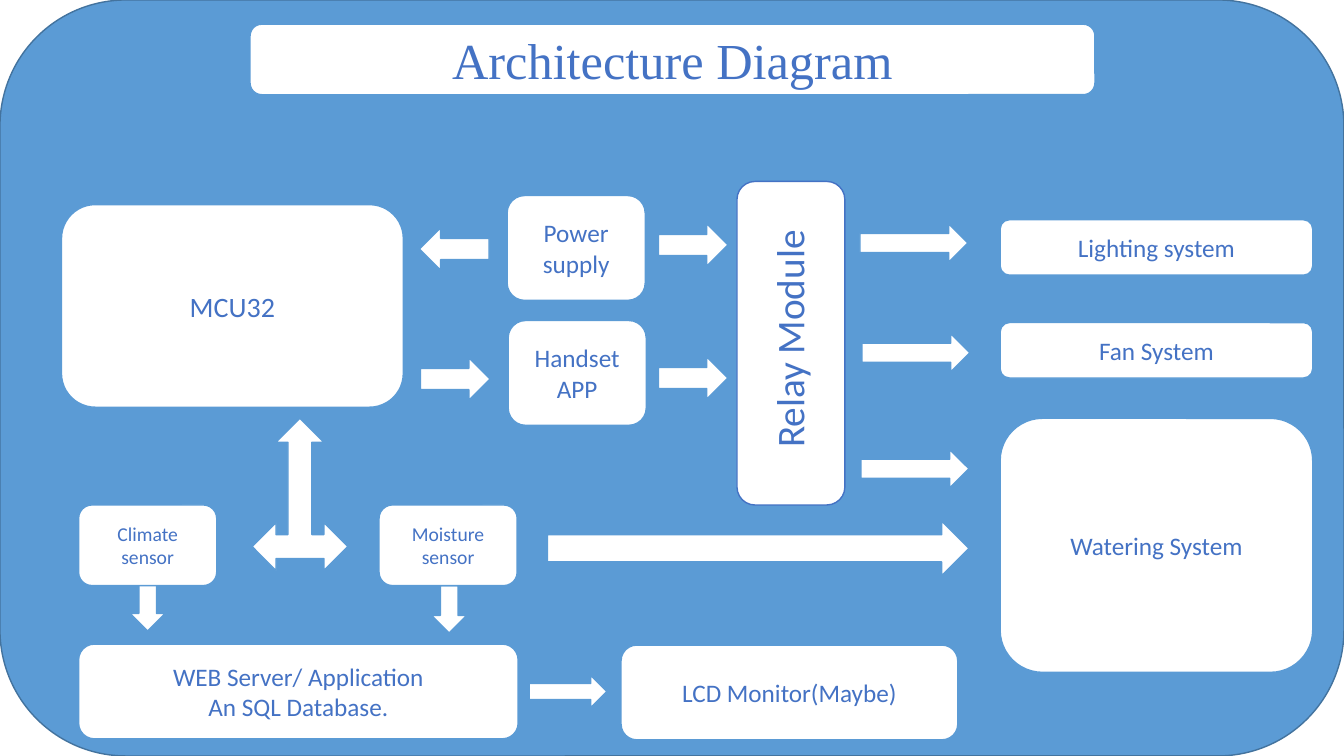
"""Build the architecture diagram slide of an automated watering system."""
from dataclasses import dataclass
from typing import Any

from pptx import Presentation
from pptx.dml.color import RGBColor
from pptx.enum.shapes import MSO_SHAPE as Preset
from pptx.enum.text import MSO_ANCHOR as Anchor, MSO_AUTO_SIZE as AutoSize, PP_ALIGN as Align
from pptx.util import Emu, Pt

EMU_PER_PX = 9144


@dataclass(frozen=True)
class Theme:
    background: RGBColor = RGBColor(0x5B, 0x9B, 0xD5)
    background_edge: RGBColor = RGBColor(0x43, 0x73, 0x9E)
    panel: RGBColor = RGBColor(0xFF, 0xFF, 0xFF)
    accent: RGBColor = RGBColor(0x44, 0x72, 0xC4)
    body_font: str = "Calibri"
    title_font: str = "Times New Roman"
    title_size: int = 36
    relay_size: int = 28
    controller_size: int = 20
    label_size: int = 18
    sensor_size: int = 14


THEME = Theme()


@dataclass(frozen=True)
class Area:
    left: int
    top: int
    width: int
    height: int

    def emu(self) -> tuple[Emu, ...]:
        return tuple(Emu(px * EMU_PER_PX) for px in (self.left, self.top, self.width, self.height))


@dataclass(frozen=True)
class Box:
    area: Area
    text: str = ""
    size: int = THEME.label_size
    edge: RGBColor = THEME.background
    fill: RGBColor = THEME.panel


@dataclass(frozen=True)
class Arrow:
    area: Area
    preset: Preset = Preset.RIGHT_ARROW
    rotation: int = 0


TITLE_AREA = Area(248, 24, 838, 70)
RELAY_LABEL_AREA = Area(570, 213, 425, 57)
BACKDROP = Box(Area(0, 0, 1333, 750), edge=THEME.background_edge, fill=THEME.background)

BOXES = (
    Box(TITLE_AREA),
    Box(Area(61, 203, 339, 201), "MCU32", THEME.controller_size),
    Box(Area(731, 180, 107, 321), edge=THEME.accent),
    Box(Area(503, 194, 137, 104), "Power supply"),
    Box(Area(504, 318, 137, 104), "Handset APP"),
    Box(Area(992, 218, 310, 55), "Lighting system"),
    Box(Area(992, 320, 310, 55), "Fan System"),
    Box(Area(992, 415, 310, 252), "Watering System"),
    Box(Area(78, 501, 137, 80), "Climate sensor", THEME.sensor_size),
    Box(Area(376, 501, 137, 80), "Moisture sensor", THEME.sensor_size),
    Box(Area(78, 639, 436, 94), "WEB Server/ Application\nAn SQL Database."),
    Box(Area(616, 640, 334, 94), "LCD Monitor(Maybe)"),
)

ARROWS = (
    Arrow(Area(416, 226, 69, 42), rotation=180),
    Arrow(Area(417, 355, 69, 42)),
    Arrow(Area(653, 222, 69, 42)),
    Arrow(Area(653, 354, 69, 42)),
    Arrow(Area(853, 222, 107, 38)),
    Arrow(Area(855, 331, 107, 38)),
    Arrow(Area(854, 446, 107, 38)),
    Arrow(Area(543, 517, 418, 54)),
    Arrow(Area(525, 670, 77, 32)),
    Arrow(Area(129, 579, 35, 47), Preset.DOWN_ARROW),
    Arrow(Area(428, 581, 35, 47), Preset.DOWN_ARROW),
    Arrow(Area(250, 415, 95, 151), Preset.LEFT_RIGHT_UP_ARROW),
)


def set_all(target: Any, values: dict[str, Any]) -> None:
    """Set each named attribute of the target."""
    for name, value in values.items():
        setattr(target, name, value)


def write_text(shape: Any, text: str, size: int, font: str = THEME.body_font,
               align: Align = Align.CENTER, **frame_format: Any) -> None:
    """Fill a shape with formatted text."""
    frame = shape.text_frame
    frame.text = text
    set_all(frame, {"word_wrap": True, "vertical_anchor": Anchor.MIDDLE,
                    "auto_size": AutoSize.NONE} | frame_format)
    for paragraph in frame.paragraphs:
        paragraph.alignment = align
        for run in paragraph.runs:
            set_all(run.font, {"name": font, "size": Pt(size)})
            run.font.color.rgb = THEME.accent


def add_preset(slide: Any, preset: Preset, area: Area, fill: RGBColor, edge: RGBColor) -> Any:
    """Add a flat preset shape with a thin outline."""
    shape = slide.shapes.add_shape(preset, *area.emu())
    shape.shadow.inherit = False
    shape.fill.solid()
    shape.fill.fore_color.rgb = fill
    shape.line.color.rgb = edge
    shape.line.width = Pt(1)
    return shape


def add_box(slide: Any, box: Box) -> None:
    """Add a rounded box with its label."""
    shape = add_preset(slide, Preset.ROUNDED_RECTANGLE, box.area, box.fill, box.edge)
    if box.text:
        write_text(shape, box.text, box.size)


def add_arrow(slide: Any, arrow: Arrow) -> None:
    """Add a block arrow."""
    shape = add_preset(slide, arrow.preset, arrow.area, THEME.panel, THEME.background)
    shape.rotation = arrow.rotation


def place_title(slide: Any) -> None:
    """Move the title placeholder to the front of its box."""
    title = slide.shapes.title
    set_all(title, dict(zip(("left", "top", "width", "height"), TITLE_AREA.emu())))
    write_text(title, "Architecture Diagram", THEME.title_size, THEME.title_font)
    slide.shapes.element.append(title.element)


def add_relay_label(slide: Any) -> None:
    """Add the upward label of the relay box."""
    label = slide.shapes.add_textbox(*RELAY_LABEL_AREA.emu())
    label.rotation = 270
    write_text(label, "Relay Module", THEME.relay_size, align=Align.LEFT,
               vertical_anchor=Anchor.TOP, auto_size=AutoSize.SHAPE_TO_FIT_TEXT)


def main() -> None:
    """Build and save the presentation."""
    presentation = Presentation()
    set_all(presentation, {"slide_width": Emu(1333 * EMU_PER_PX),
                           "slide_height": Emu(750 * EMU_PER_PX)})
    slide = presentation.slides.add_slide(presentation.slide_layouts.get_by_name("Title Only"))
    add_box(slide, BACKDROP)
    for arrow in ARROWS:
        add_arrow(slide, arrow)
    for box in BOXES:
        add_box(slide, box)
    add_relay_label(slide)
    place_title(slide)
    presentation.save("out.pptx")


if __name__ == "__main__":
    main()
